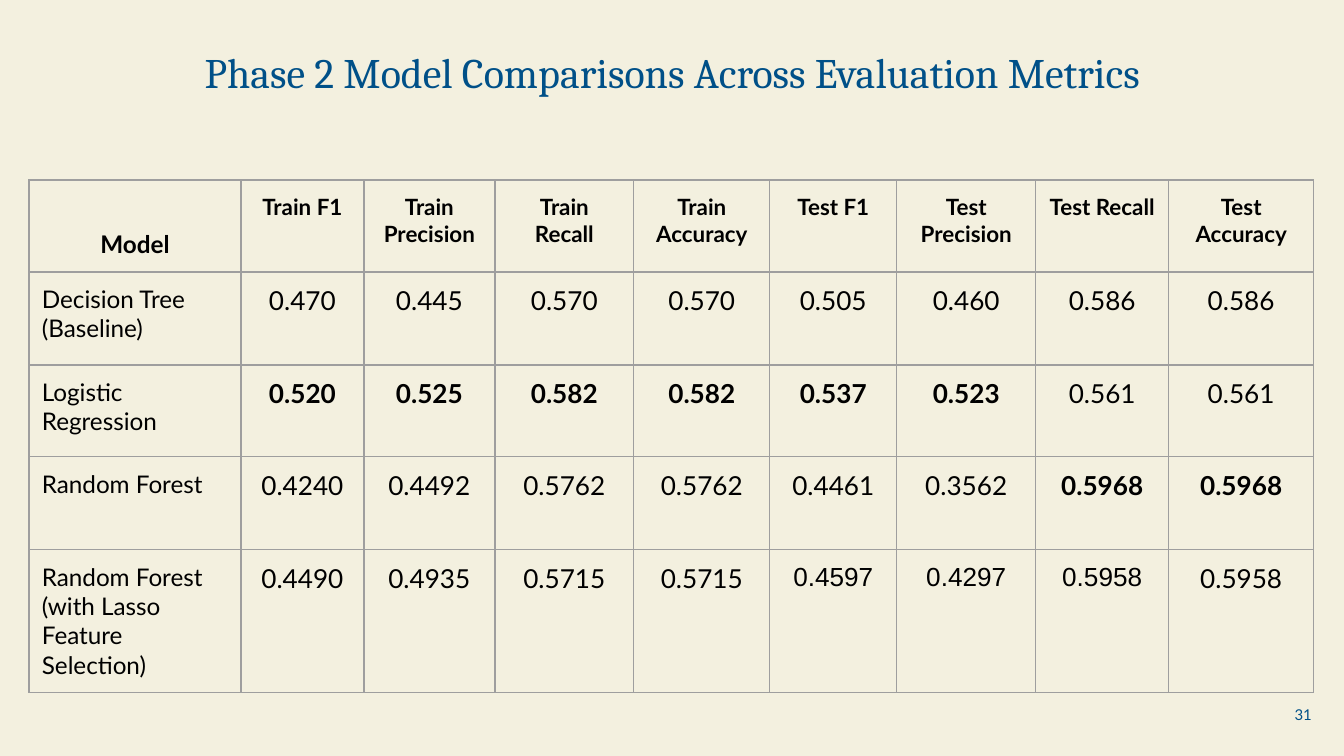
from lxml.etree import SubElement
from pptx import Presentation
from pptx.dml.color import RGBColor
from pptx.enum.text import MSO_ANCHOR, MSO_AUTO_SIZE, PP_ALIGN
from pptx.oxml.ns import qn
from pptx.util import Pt

PX_PER_INCH = 134.4
CREAM = RGBColor(0xF3, 0xF0, 0xDF)
BLUE = RGBColor(0x00, 0x50, 0x88)
BLACK = RGBColor(0x00, 0x00, 0x00)
GREY = RGBColor(0x9E, 0x9E, 0x9E)
MARGIN = 13

COLUMN_WIDTHS = [212, 123, 131, 139, 136, 127, 139, 133, 145]
ROW_HEIGHTS = [92, 93, 92, 93, 143]
HEADERS = ["Model"] + [
    f"{part} {metric}"
    for part in ("Train", "Test")
    for metric in ("F1", "Precision", "Recall", "Accuracy")
]
RESULTS = [
    ["Decision Tree (Baseline)",
     "0.470", "0.445", "0.570", "0.570", "0.505", "0.460", "0.586", "0.586"],
    ["Logistic Regression",
     "0.520", "0.525", "0.582", "0.582", "0.537", "0.523", "0.561", "0.561"],
    ["Random Forest",
     "0.4240", "0.4492", "0.5762", "0.5762", "0.4461", "0.3562", "0.5968", "0.5968"],
    ["Random Forest (with Lasso Feature Selection)",
     "0.4490", "0.4935", "0.5715", "0.5715", "0.4597", "0.4297", "0.5958", "0.5958"],
]
# Columns holding the best score, by row of the table
BEST_COLUMNS = {2: range(1, 7), 3: range(7, 9)}
ARIAL_CELLS = {(4, column) for column in (5, 6, 7)}


def px(length):
    return round(length * 914400 / PX_PER_INCH)


def write(frame, text, size, font="Lato", color=BLACK, bold=False,
          align=PP_ALIGN.LEFT, space_after=0):
    para = frame.paragraphs[0]
    para.alignment = align
    para.space_after = Pt(space_after)
    span = para.add_run()
    span.text = text
    span.font.name = font
    span.font.size = Pt(size)
    span.font.bold = bold
    span.font.color.rgb = color


def set_margins(holder):
    holder.margin_left = holder.margin_right = px(MARGIN)
    holder.margin_top = holder.margin_bottom = px(MARGIN)


def prepare_frame(frame):
    set_margins(frame)
    frame.word_wrap = True
    frame.auto_size = MSO_AUTO_SIZE.NONE
    frame.vertical_anchor = MSO_ANCHOR.MIDDLE


def add_title(page, text):
    title = page.shapes.title
    title.left, title.top, title.width, title.height = map(px, (144, 7, 1058, 129))
    prepare_frame(title.text_frame)
    write(title.text_frame, text, 22.5, font="Cambria", color=BLUE,
          align=PP_ALIGN.CENTER, space_after=12)


def add_page_number(page, text):
    box = page.shapes.add_textbox(*map(px, (1245, 686, 80, 58)))
    prepare_frame(box.text_frame)
    write(box.text_frame, text, 8, color=BLUE, align=PP_ALIGN.RIGHT)


def format_cell(cell):
    set_margins(cell)
    properties = cell._tc.get_or_add_tcPr()
    for side in ("lnL", "lnR", "lnT", "lnB"):
        line = SubElement(properties, qn(f"a:{side}"), w=str(Pt(0.75)))
        fill = SubElement(line, qn("a:solidFill"))
        SubElement(fill, qn("a:srgbClr"), val=str(GREY))
    cell.fill.background()


def cell_format(row, column):
    if row == 0:
        return {"size": 12 if column else 13, "bold": True, "align": PP_ALIGN.CENTER}
    if column == 0:
        return {"size": 13}
    return {
        "size": 14,
        "bold": column in BEST_COLUMNS.get(row, ()),
        "font": "Arial" if (row, column) in ARIAL_CELLS else "Lato",
        "align": PP_ALIGN.CENTER,
    }


def add_results_table(page):
    rows = [HEADERS] + RESULTS
    table = page.shapes.add_table(
        len(rows), len(HEADERS), px(29), px(180),
        px(sum(COLUMN_WIDTHS)), px(sum(ROW_HEIGHTS))).table
    table.first_row = table.horz_banding = False
    for column, width in zip(table.columns, COLUMN_WIDTHS):
        column.width = px(width)
    for row, height in zip(table.rows, ROW_HEIGHTS):
        row.height = px(height)
    for row, texts in enumerate(rows):
        for column, text in enumerate(texts):
            cell = table.cell(row, column)
            format_cell(cell)
            write(cell.text_frame, text, **cell_format(row, column))
    table.cell(0, 0).vertical_anchor = MSO_ANCHOR.BOTTOM


def main():
    deck = Presentation()
    deck.slide_width, deck.slide_height = px(1344), px(756)
    page = deck.slides.add_slide(deck.slide_layouts[5])
    page.background.fill.solid()
    page.background.fill.fore_color.rgb = CREAM

    add_title(page, "Phase 2 Model Comparisons Across Evaluation Metrics")
    add_results_table(page)
    add_page_number(page, "31")
    deck.save("out.pptx")


if __name__ == "__main__":
    main()
